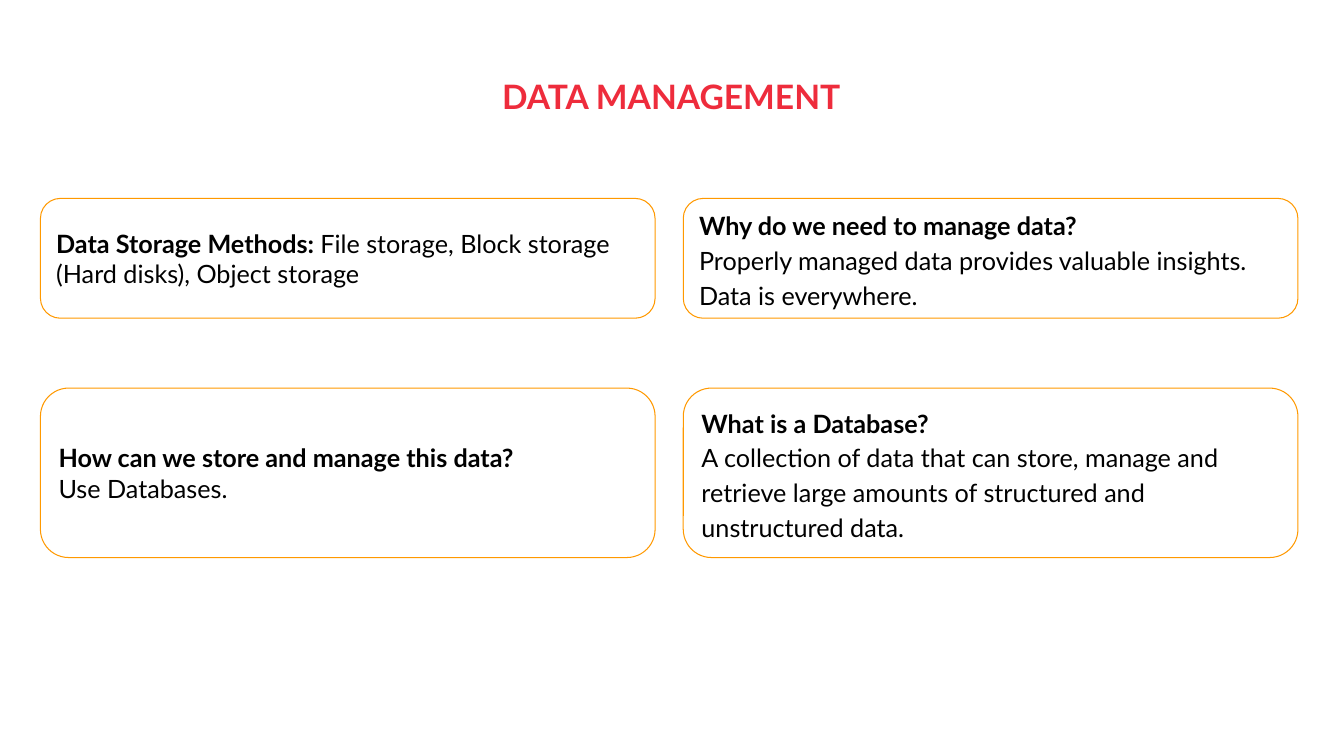
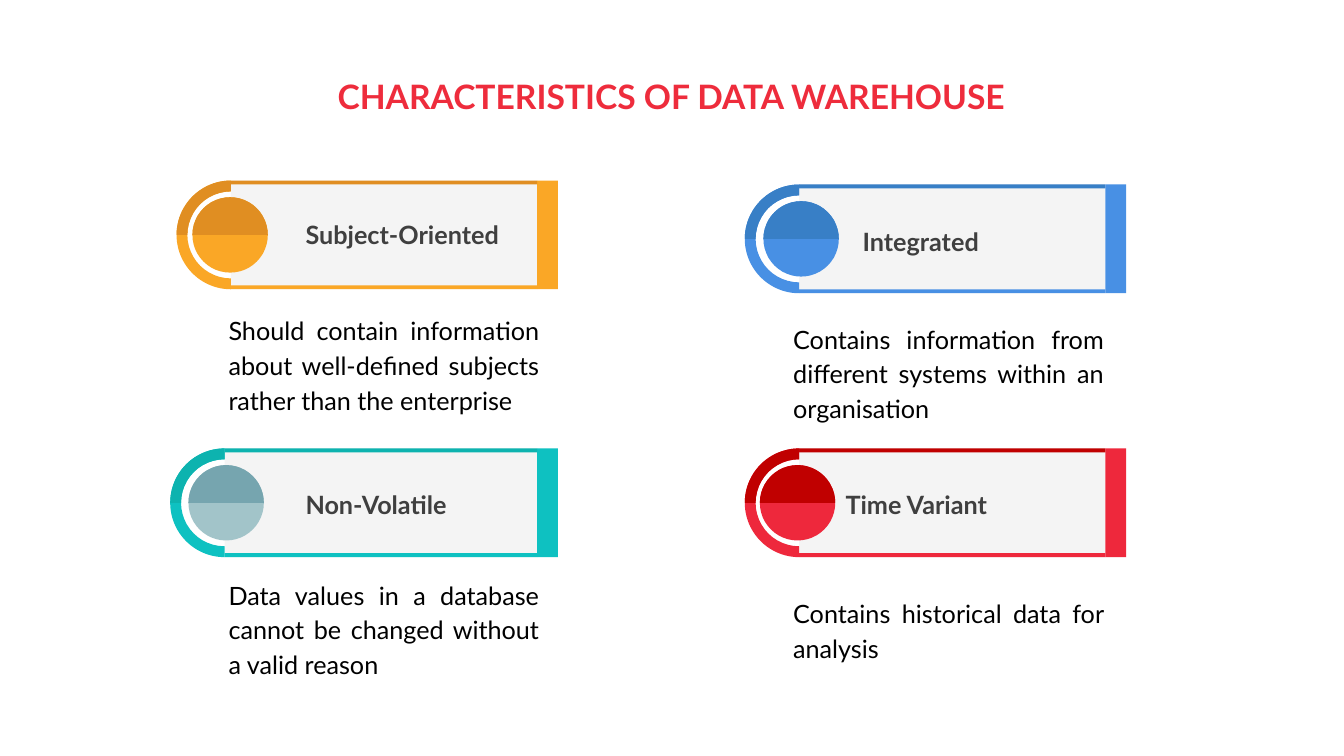
from dataclasses import dataclass
from itertools import product

from pptx import Presentation
from pptx.dml.color import RGBColor
from pptx.enum.shapes import MSO_SHAPE as Preset
from pptx.enum.text import MSO_ANCHOR as Anchor
from pptx.enum.text import MSO_AUTO_SIZE as AutoSize
from pptx.enum.text import PP_ALIGN as Align
from pptx.util import Cm, Pt


@dataclass(frozen=True)
class Theme:
    """Colours, font and type sizes of the deck."""
    font: str = "Lato"
    title_size: int = 24
    body_size: int = 18
    title: str = "EE2C3C"
    body: str = "000000"
    label: str = "3F3F3F"
    card_line: str = "FF9900"
    panel: str = "F4F4F4"


@dataclass(frozen=True)
class Banner:
    """Places in centimetres, colours and words of one characteristic."""
    label: str
    text: str
    middle: float
    hub: float
    disc: float
    bar: float
    label_at: tuple
    text_at: tuple
    ring_colours: tuple
    disc_colours: tuple


THEME = Theme()
RING_RADIUS, DISC_RADIUS = 1.37, 0.95
RING_THICKNESS = 0.1
BAR_WIDTH, RULE_HEIGHT = 0.52, 0.1
ANGLE_UNIT = 0.6

AMBER = ("FAA726", "E08E22")
BLUE = ("4890E4", "387FC6")
TEAL = ("0EC1C1", "0DB3AF")
GREY = ("A2C4C9", "76A5AF")
RED = ("EE283C", "C00000")

CARDS = [
    [[("Data Storage Methods: ", True),
      ("File storage, Block storage (Hard disks), Object storage", False)]],
    [[("Why do we need to manage data?", True)],
     [("Properly managed data provides valuable insights. "
       "Data is everywhere.", False)]],
    [[("How can we store and manage this data?", True)],
     [("Use Databases.", False)]],
    [[("What is a Database?", True)],
     [("A collection of data that can store, manage and retrieve large "
       "amounts of structured and unstructured data.", False)]],
]

BANNERS = [
    Banner("Subject-Oriented",
           "Should contain information about well-defined subjects "
           "rather than the enterprise",
           5.92, 5.82, 5.8, 13.54, (7.52, 5.38), (5.51, 7.59), AMBER, AMBER),
    Banner("Integrated",
           "Contains information from different systems within an organisation",
           6.02, 20.14, 20.19, 27.86, (21.56, 5.54), (19.74, 7.8), BLUE, BLUE),
    Banner("Non-Volatile",
           "Data values in a database cannot be changed without a valid reason",
           12.67, 5.66, 5.7, 13.54, (7.52, 12.19), (5.51, 14.25), TEAL, GREY),
    Banner("Time Variant", "Contains historical data for analysis",
           12.67, 20.14, 20.1, 27.86, (21.13, 12.19), (19.74, 14.71), RED, RED),
]


def write_text(frame, paragraphs, *, size=THEME.body_size, colour=THEME.body,
               align=Align.LEFT, spacing=1.0, anchor=Anchor.TOP,
               margins=(0.25, 0.25)):
    """Fill a text frame with paragraphs made of (text, bold) spans."""
    frame.word_wrap = True
    frame.auto_size = AutoSize.NONE
    frame.vertical_anchor = anchor
    frame.margin_left = frame.margin_right = Cm(margins[0])
    frame.margin_top = frame.margin_bottom = Cm(margins[1])
    for index, spans in enumerate(paragraphs):
        para = frame.add_paragraph() if index else frame.paragraphs[0]
        para.alignment = align
        para.line_spacing = spacing
        for text, bold in spans:
            span = para.add_run()
            span.text = text
            span.font.name = THEME.font
            span.font.size = Pt(size)
            span.font.bold = bold
            span.font.color.rgb = RGBColor.from_string(colour)


def add_block(page, preset, left, top, width, height, colour):
    """Add a filled preset shape without line or shadow."""
    block = page.shapes.add_shape(
        preset, Cm(left), Cm(top), Cm(width), Cm(height))
    block.shadow.inherit = False
    block.fill.solid()
    block.fill.fore_color.rgb = RGBColor.from_string(colour)
    block.line.fill.background()
    return block


def add_round(page, preset, x, y, radius, colour, angles=(), thickness=None):
    """Add a round shape about a centre, cut at clockwise angles in degrees."""
    block = add_block(page, preset, x - radius, y - radius,
                      2 * radius, 2 * radius, colour)
    for index, angle in enumerate(angles):
        block.adjustments[index] = angle * ANGLE_UNIT
    if thickness is not None:
        block.adjustments[2] = thickness


def add_words(page, place, size, text, *, bold=False, **style):
    """Add a text box with one paragraph."""
    box = page.shapes.add_textbox(*map(Cm, place + size))
    write_text(box.text_frame, [[(text, bold)]], **style)


def add_card(page, left, top, height, paragraphs, spacing):
    """Add a rounded outlined card."""
    card = page.shapes.add_shape(Preset.ROUNDED_RECTANGLE, Cm(left), Cm(top),
                                 Cm(15.49), Cm(height))
    card.shadow.inherit = False
    card.fill.background()
    card.line.color.rgb = RGBColor.from_string(THEME.card_line)
    card.line.width = Pt(0.75)
    write_text(card.text_frame, paragraphs, spacing=spacing,
               anchor=Anchor.MIDDLE)


def add_banner(page, banner):
    """Add a banner with its ring, disc, label and explanation."""
    hub, middle = banner.hub, banner.middle
    top, height = middle - RING_RADIUS, 2 * RING_RADIUS
    length = banner.bar - hub
    light, dark = banner.ring_colours
    for left, upper, width, tall, colour in (
            (hub, top, length, height, THEME.panel),
            (banner.bar, top, BAR_WIDTH, height, light),
            (hub, top, length, RULE_HEIGHT, dark),
            (hub, top + height - RULE_HEIGHT, length, RULE_HEIGHT, light)):
        add_block(page, Preset.RECTANGLE, left, upper, width, tall, colour)
    for start, colour in ((90, light), (180, dark)):
        add_round(page, Preset.BLOCK_ARC, hub, middle, RING_RADIUS, colour,
                  (start, 270), RING_THICKNESS)

    disc_light, disc_dark = banner.disc_colours
    add_round(page, Preset.OVAL, banner.disc, middle, DISC_RADIUS, disc_light)
    add_round(page, Preset.CHORD, banner.disc, middle, DISC_RADIUS, disc_dark,
              (180, 0))

    add_words(page, banner.label_at, (5.33, 0.97), banner.label, bold=True,
              colour=THEME.label, spacing=1.07, margins=(0.18, 0.1))
    add_words(page, banner.text_at, (8.33, 3.05), banner.text,
              align=Align.JUSTIFY, spacing=1.15)


def place_title(layout):
    """Set the title position that all pages inherit."""
    title = layout.placeholders[0]
    title.left, title.top = Cm(1.14), Cm(1.65)
    title.width, title.height = Cm(31.55), Cm(2.11)


def add_page(deck, layout, title):
    """Add a page with a formatted title."""
    page = deck.slides.add_slide(layout)
    write_text(page.shapes.title.text_frame, [[(title, True)]],
               size=THEME.title_size, colour=THEME.title, align=Align.CENTER)
    return page


def main():
    """Build and save the deck."""
    deck = Presentation()
    deck.slide_width, deck.slide_height = Cm(33.87), Cm(19.05)
    layout = deck.slide_layouts[5]
    place_title(layout)

    page = add_page(deck, layout, "DATA MANAGEMENT")
    rows = ((5, 3.02), (9.78, 4.27))
    columns = ((1.02, 1.0), (17.22, 1.15))
    for paragraphs, (row, column) in zip(CARDS, product(rows, columns)):
        (top, height), (left, spacing) = row, column
        add_card(page, left, top, height, paragraphs, spacing)

    page = add_page(deck, layout, "CHARACTERISTICS OF DATA WAREHOUSE")
    for banner in BANNERS:
        add_banner(page, banner)

    deck.save("out.pptx")


if __name__ == "__main__":
    main()
